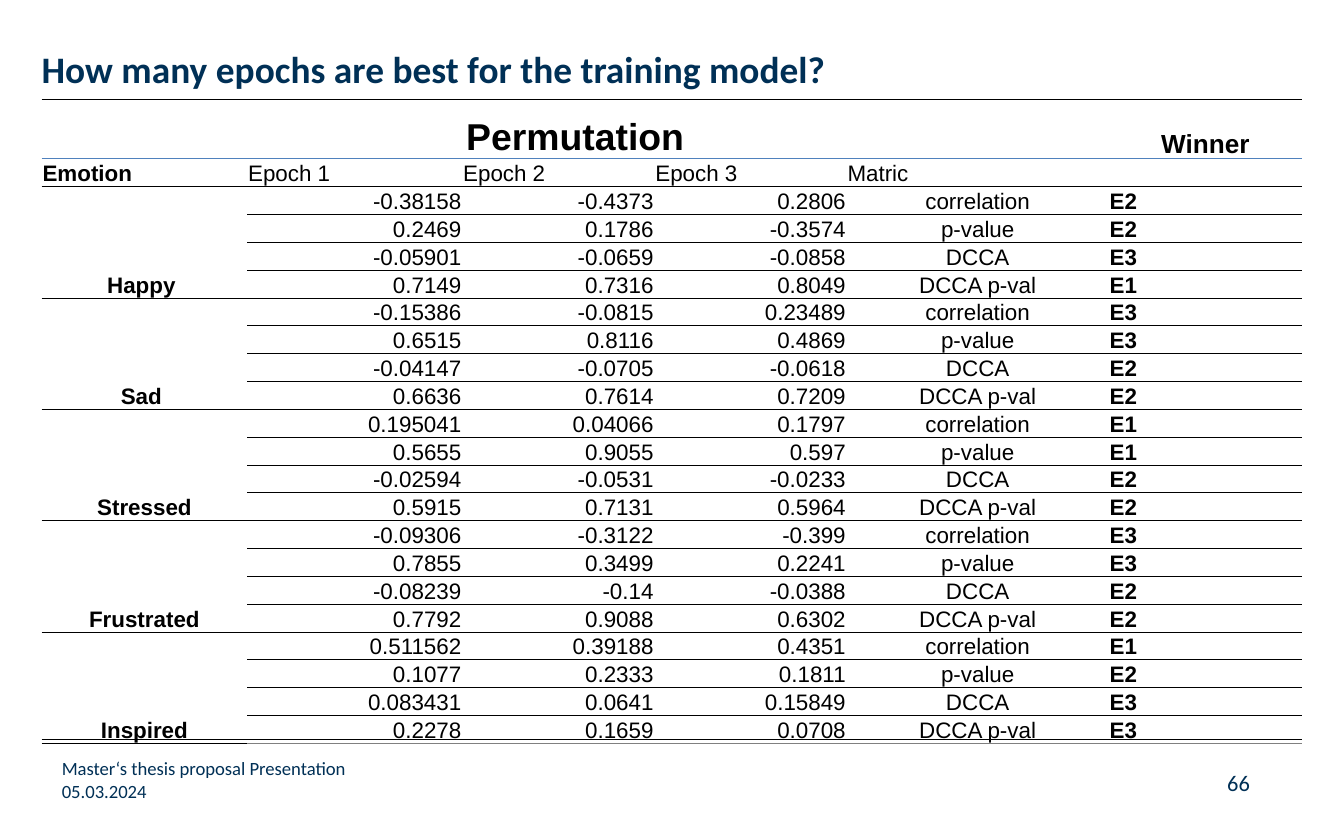
import pptx
import pptx.dml.color
import pptx.enum.shapes
import pptx.enum.text
import pptx.oxml
import pptx.oxml.ns
import pptx.util

Inches, Pt = pptx.util.Inches, pptx.util.Pt
ALIGN = pptx.enum.text.PP_ALIGN
ANCHOR = pptx.enum.text.MSO_ANCHOR

COLORS = {"navy": "003056", "black": "000000", "blue": "4F81BD", "grey": "808080"}
NO_GRID_STYLE = "{2D5ABB26-0587-4C30-8999-92F81FD0307C}"

TITLE = "How many epochs are best for the training model?"
# text, left, top, width, height, size, bold, alignment, anchor
TEXTS = [
    (TITLE, 0.31, 0.18, 9.37, 0.5, 20, True, ALIGN.LEFT, ANCHOR.BOTTOM),
    ("Master‘s thesis proposal Presentation", 0.46, 5.63, 4.22, 0.2, 10, False, ALIGN.LEFT, ANCHOR.TOP),
    ("05.03.2024", 0.46, 5.8, 3.11, 0.2, 10, False, ALIGN.LEFT, ANCHOR.TOP),
    ("66", 7.76, 5.72, 1.54, 0.2, 12, False, ALIGN.RIGHT, ANCHOR.TOP),
]
RULES_Y = [0.74, 5.5]
RULE_LEFT, RULE_RIGHT = 0.31, 9.69

HEADINGS = ["Emotion", "Epoch 1", "Epoch 2", "Epoch 3", "Matric"]
METRICS = ["correlation", "p-value", "DCCA", "DCCA p-val"]
# one row per metric: epochs 1 to 3, winner
RESULTS = {
    "Happy ": [
        ("-0.38158", "-0.4373", "0.2806", "E2"),
        ("0.2469", "0.1786", "-0.3574", "E2"),
        ("-0.05901", "-0.0659", "-0.0858", "E3"),
        ("0.7149", "0.7316", "0.8049", "E1"),
    ],
    "Sad ": [
        ("-0.15386", "-0.0815", "0.23489", "E3"),
        ("0.6515", "0.8116", "0.4869", "E3"),
        ("-0.04147", "-0.0705", "-0.0618", "E2"),
        ("0.6636", "0.7614", "0.7209", "E2"),
    ],
    "Stressed": [
        ("0.195041", "0.04066", "0.1797", "E1"),
        ("0.5655", "0.9055", "0.597", "E1"),
        ("-0.02594", "-0.0531", "-0.0233", "E2"),
        ("0.5915", "0.7131", "0.5964", "E2"),
    ],
    "Frustrated": [
        ("-0.09306", "-0.3122", "-0.399", "E3"),
        ("0.7855", "0.3499", "0.2241", "E3"),
        ("-0.08239", "-0.14", "-0.0388", "E2"),
        ("0.7792", "0.9088", "0.6302", "E2"),
    ],
    "Inspired": [
        ("0.511562", "0.39188", "0.4351", "E1"),
        ("0.1077", "0.2333", "0.1811", "E2"),
        ("0.083431", "0.0641", "0.15849", "E3"),
        ("0.2278", "0.1659", "0.0708", "E3"),
    ],
}
COLUMN_WIDTHS = [1.53, 1.6, 1.43, 1.43, 1.95, 1.44]
COLUMN_ALIGN = [ALIGN.CENTER] + [ALIGN.RIGHT] * 3 + [ALIGN.CENTER, ALIGN.LEFT]
BOLD_COLUMNS = (0, 5)
TABLE_LEFT, TABLE_TOP = 0.31, 0.84
BANNER_HEIGHT, ROW_HEIGHT = 0.33, 0.2
FIRST_RESULT, GROUP = 2, len(METRICS)
ROW_COUNT = FIRST_RESULT + GROUP * len(RESULTS)


def rgb(name):
    return pptx.dml.color.RGBColor.from_string(COLORS[name])


def add_span(para, text, font, size, color, bold):
    span = para.add_run()
    span.text = text
    span.font.name, span.font.size, span.font.bold = font, Pt(size), bold
    span.font.color.rgb = rgb(color)


def add_text(page, text, left, top, width, height, size, bold, align, anchor):
    box = page.shapes.add_textbox(Inches(left), Inches(top), Inches(width), Inches(height))
    frame = box.text_frame
    frame.word_wrap = True
    frame.vertical_anchor = anchor
    frame.margin_left = frame.margin_right = frame.margin_top = frame.margin_bottom = 0
    para = frame.paragraphs[0]
    para.alignment = align
    if text == TITLE:
        para.line_spacing = 0.9
    add_span(para, text, "Calibri", size, "navy", bold)


def add_rule(page, y):
    rule = page.shapes.add_connector(
        pptx.enum.shapes.MSO_CONNECTOR.STRAIGHT,
        Inches(RULE_LEFT), Inches(y), Inches(RULE_RIGHT), Inches(y))
    rule.line.color.rgb = rgb("black")
    rule.line.width = Pt(0.5)
    properties = rule._element.find(pptx.oxml.ns.qn("p:spPr"))
    properties.append(pptx.oxml.parse_xml(f"<a:effectLst {pptx.oxml.ns.nsdecls('a')}/>"))


def line_below(row, column):
    """Colour and width of the line under a cell, or None."""
    if row < 0:
        return None
    if row == 0:
        return "blue", 1
    inside_group = row >= FIRST_RESULT and (row - FIRST_RESULT + 1) % GROUP
    if column == 0 and inside_group:
        return None
    if row == ROW_COUNT - 1 and column > 0:
        return "grey", 0.25
    return "black", 0.25


def add_border(cell, tag, line):
    color, width = line
    cell._tc.get_or_add_tcPr().append(pptx.oxml.parse_xml(
        f'<a:{tag} {pptx.oxml.ns.nsdecls("a")} w="{Pt(width)}"><a:solidFill>'
        f'<a:srgbClr val="{COLORS[color]}"/></a:solidFill></a:{tag}>'))


def format_cell(cell, row, column):
    cell.vertical_anchor = ANCHOR.BOTTOM
    cell.margin_left = cell.margin_right = cell.margin_top = Pt(0.5)
    cell.margin_bottom = 0
    last_row = row + (cell.span_height - 1 if cell.is_merge_origin else 0)
    for tag, line in (("lnT", line_below(row - 1, column)), ("lnB", line_below(last_row, column))):
        if line:
            add_border(cell, tag, line)
    cell.fill.background()


def fill_cell(cell, text, size, bold, align):
    para = cell.text_frame.paragraphs[0]
    para.alignment = align
    if text:
        add_span(para, text, "Arial", size, "black", bold)
    else:
        # an empty cell must not be taller than its row
        para._p.append(pptx.oxml.parse_xml(
            f'<a:endParaRPr {pptx.oxml.ns.nsdecls("a")} sz="{size * 100}">'
            '<a:latin typeface="Arial"/></a:endParaRPr>'))


def add_results_table(page):
    height = BANNER_HEIGHT + ROW_HEIGHT * (ROW_COUNT - 1)
    table = page.shapes.add_table(
        ROW_COUNT, len(COLUMN_WIDTHS), Inches(TABLE_LEFT), Inches(TABLE_TOP),
        Inches(sum(COLUMN_WIDTHS)), Inches(height)).table
    table.first_row = table.horz_banding = False
    table._tbl.tblPr.find(pptx.oxml.ns.qn("a:tableStyleId")).text = NO_GRID_STYLE
    for column, width in zip(table.columns, COLUMN_WIDTHS):
        column.width = Inches(width)
    for index, row in enumerate(table.rows):
        row.height = Inches(ROW_HEIGHT if index else BANNER_HEIGHT)

    table.cell(0, 0).merge(table.cell(0, 4))
    grid = [["Permutation", "", "", "", "", "Winner"], HEADINGS + [""]]
    for emotion, results in RESULTS.items():
        start = len(grid)
        table.cell(start, 0).merge(table.cell(start + GROUP - 1, 0))
        for index, (metric, (*epochs, winner)) in enumerate(zip(METRICS, results)):
            grid.append(["" if index else emotion, *epochs, metric, winner])

    for row, texts in enumerate(grid):
        for column, text in enumerate(texts):
            size, bold, align = 12, column in BOLD_COLUMNS, COLUMN_ALIGN[column]
            if row == 0:
                size, bold, align = (20 if column == 0 else 14), True, ALIGN.CENTER
            elif row == 1:
                bold, align = column == 0, ALIGN.LEFT
            cell = table.cell(row, column)
            format_cell(cell, row, column)
            fill_cell(cell, text, size, bold, align)


def main():
    deck = pptx.Presentation()
    deck.slide_width, deck.slide_height = Inches(10), Inches(6.25)
    page = deck.slides.add_slide(deck.slide_layouts[6])
    for y in RULES_Y:
        add_rule(page, y)
    for text in TEXTS:
        add_text(page, *text)
    add_results_table(page)
    deck.save("out.pptx")


if __name__ == "__main__":
    main()
